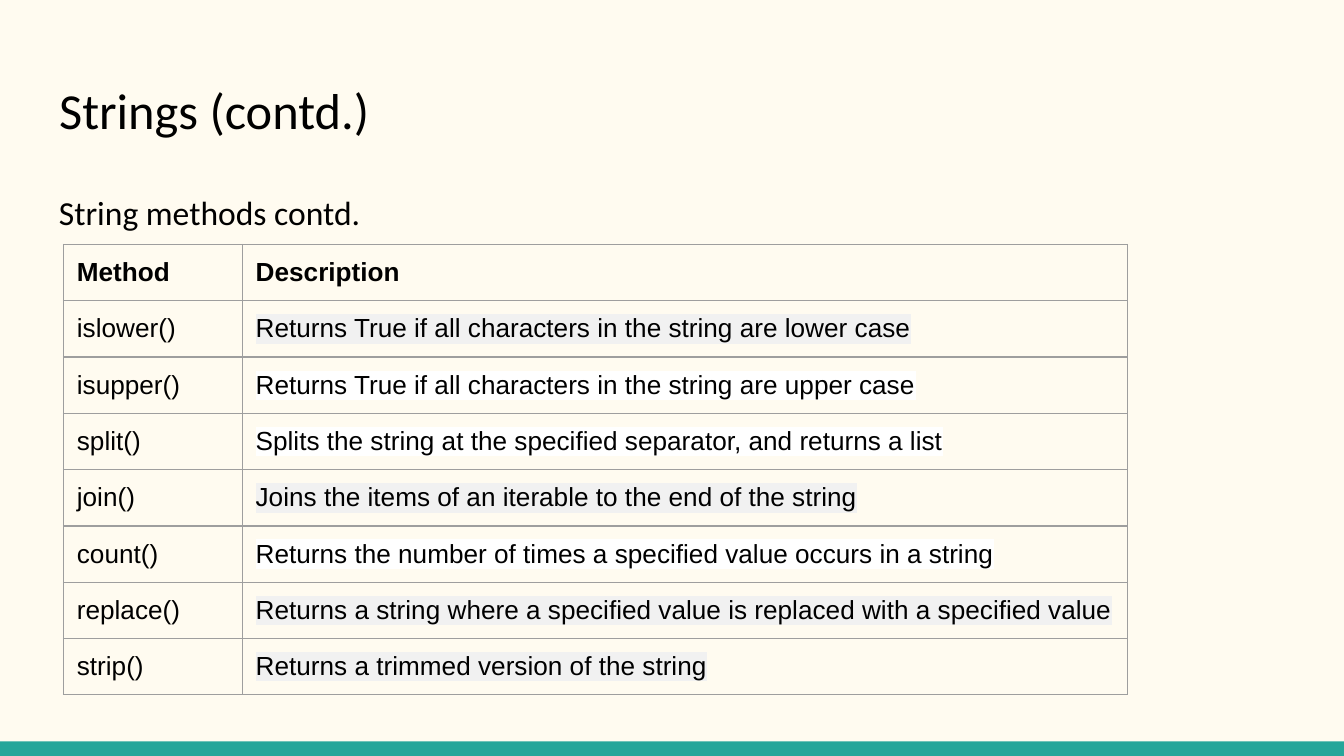
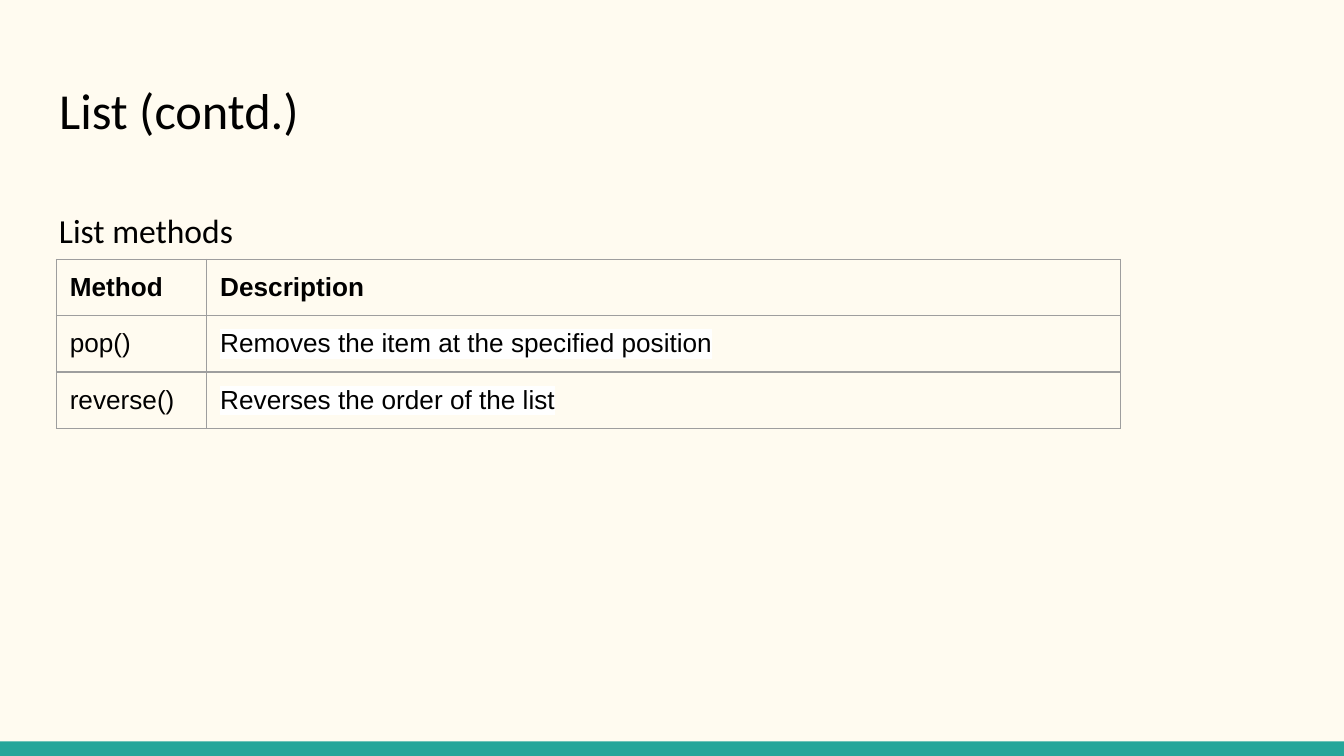
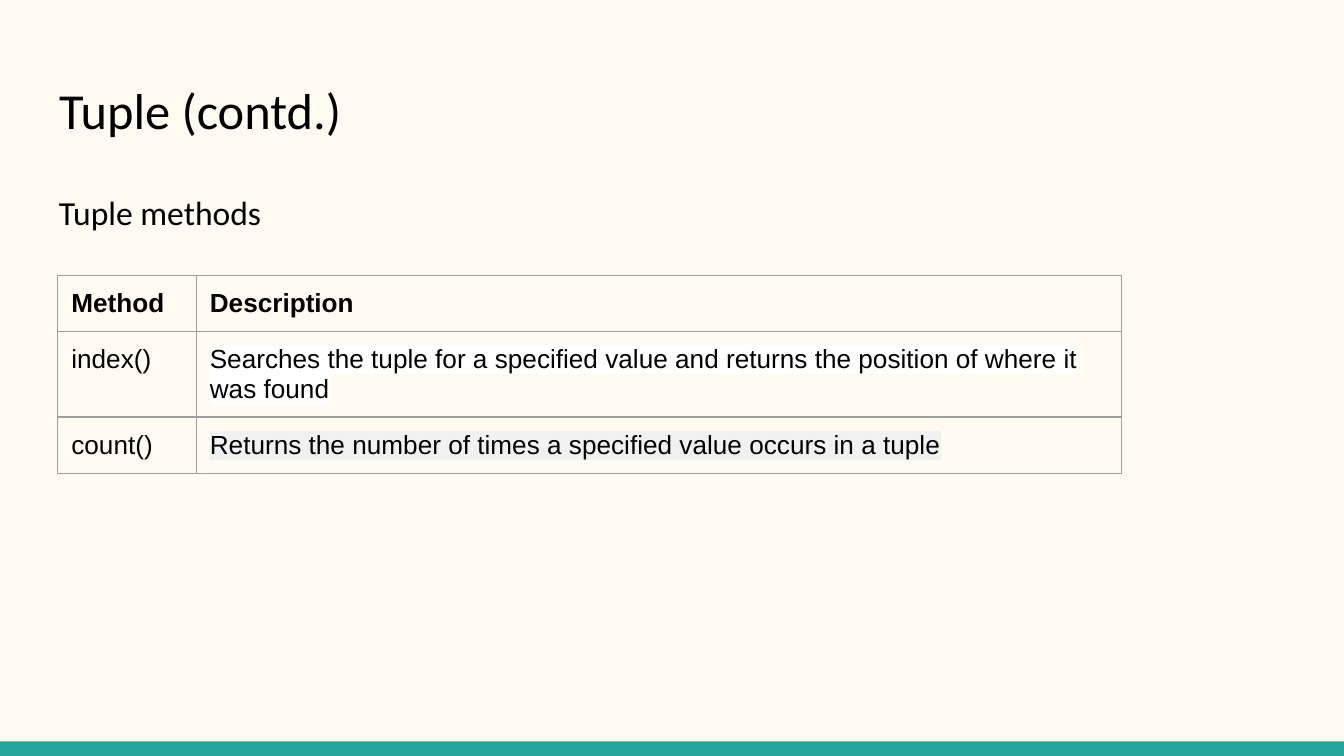
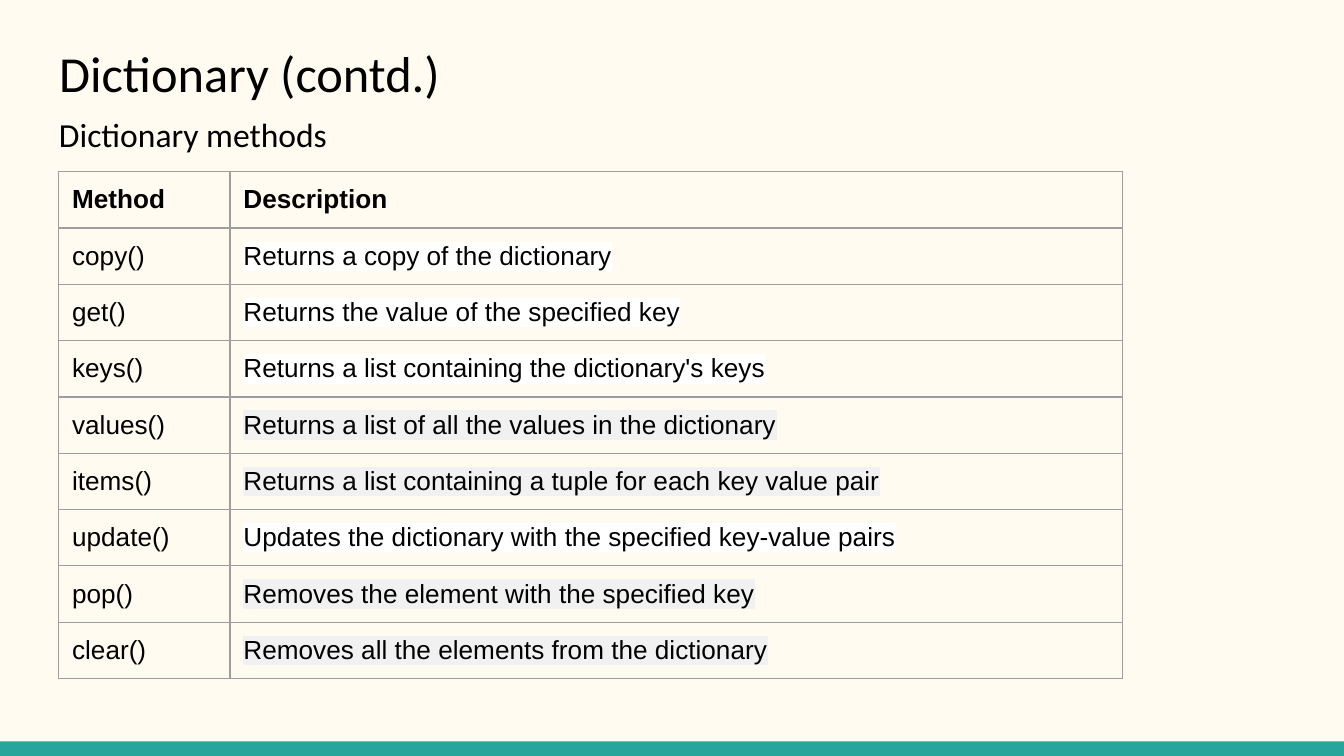
from dataclasses import dataclass

from lxml.etree import SubElement
from pptx import Presentation
from pptx.dml.color import RGBColor
from pptx.enum.shapes import MSO_SHAPE
from pptx.enum.text import MSO_ANCHOR, MSO_AUTO_SIZE, PP_ALIGN
from pptx.oxml import parse_xml
from pptx.oxml.ns import nsdecls, qn
from pptx.util import Pt

COLORS = {
    "background": "FFFBF0",
    "band": "26A69A",
    "text": "000000",
    "border": "9E9E9E",
    "grey": "F1F1F1",
    "white": "FFFFFF",
}
SLIDE_WIDTH, SLIDE_HEIGHT = 720, 405
BAND_HEIGHT = 7.8
TEXT_LEFT, TEXT_WIDTH = 24.5, 671
INSET = 7.2
TABLE_WIDTH, ROW_HEIGHT = 570, 30
BORDER_WIDTH = 0.75


@dataclass
class Method:
    name: str
    description: str
    highlight: str


@dataclass
class MethodSlide:
    title: str
    subtitle: str
    subtitle_top: float
    table_left: float
    table_top: float
    name_width: float
    methods: list[Method]
    title_top: float = 35.3
    title_height: float = 48.2


METHOD_SLIDES = [
    MethodSlide("Strings (contd.)", "String methods contd.", 92.2, 34, 131, 95.8, [
        Method("islower()", "Returns True if all characters in the string are lower case", "grey"),
        Method("isupper()", "Returns True if all characters in the string are upper case", "white"),
        Method("split()", "Splits the string at the specified separator, and returns a list", "white"),
        Method("join()", "Joins the items of an iterable to the end of the string", "grey"),
        Method("count()", "Returns the number of times a specified value occurs in a string", "white"),
        Method("replace()", "Returns a string where a specified value is replaced with a specified value", "grey"),
        Method("strip()", "Returns a trimmed version of the string", "grey"),
    ]),
    MethodSlide("List (contd.)", "List methods", 102.2, 30.2, 139, 80.6, [
        Method("pop()", "Removes the item at the specified position", "white"),
        Method("reverse()", "Reverses the order of the list", "white"),
    ]),
    MethodSlide("Tuple (contd.)", "Tuple methods", 92.2, 31, 147.4, 74.2, [
        Method("index()", "Searches the tuple for a specified value and returns the position of where it was found", "white"),
        Method("count()", "Returns the number of times a specified value occurs in a tuple", "grey"),
    ]),
    MethodSlide("Dictionary (contd.)", "Dictionary methods", 50.4, 31.4, 92, 91.8, [
        Method("copy()", "Returns a copy of the dictionary", "white"),
        Method("get()", "Returns the value of the specified key", "white"),
        Method("keys()", "Returns a list containing the dictionary's keys", "white"),
        Method("values()", "Returns a list of all the values in the dictionary", "grey"),
        Method("items()", "Returns a list containing a tuple for each key value pair", "grey"),
        Method("update()", "Updates the dictionary with the specified key-value pairs", "white"),
        Method("pop()", "Removes the element with the specified key", "grey"),
        Method("clear()", "Removes all the elements from the dictionary", "grey"),
    ], title_top=15.1, title_height=45.4),
]


def color(name: str) -> RGBColor:
    return RGBColor.from_string(COLORS[name])


def set_insets(holder) -> None:
    holder.margin_left = holder.margin_right = Pt(INSET)
    holder.margin_top = holder.margin_bottom = Pt(INSET)


def style_font(paragraph, name: str, size: float, bold: bool = False) -> None:
    paragraph.font.name = name
    paragraph.font.size = Pt(size)
    paragraph.font.bold = bold
    paragraph.font.color.rgb = color("text")


def fill_text(shape, text: str, size: float):
    frame = shape.text_frame
    frame.text = text
    frame.word_wrap = True
    frame.auto_size = MSO_AUTO_SIZE.NONE
    frame.vertical_anchor = MSO_ANCHOR.TOP
    set_insets(frame)
    paragraph = frame.paragraphs[0]
    paragraph.alignment = PP_ALIGN.LEFT
    style_font(paragraph, "Calibri", size)
    return paragraph


def add_band(slide) -> None:
    band = slide.shapes.add_shape(
        MSO_SHAPE.RECTANGLE, 0, Pt(SLIDE_HEIGHT - BAND_HEIGHT), Pt(SLIDE_WIDTH), Pt(BAND_HEIGHT))
    band.shadow.inherit = False
    band.fill.solid()
    band.fill.fore_color.rgb = color("band")
    band.line.fill.background()


def add_heading(slide, content: MethodSlide) -> None:
    title = slide.shapes.title
    title.left, title.top = Pt(TEXT_LEFT), Pt(content.title_top)
    title.width, title.height = Pt(TEXT_WIDTH), Pt(content.title_height)
    fill_text(title, content.title, 27)
    subtitle = slide.shapes.add_textbox(
        Pt(TEXT_LEFT), Pt(content.subtitle_top), Pt(TEXT_WIDTH), Pt(268))
    paragraph = fill_text(subtitle, content.subtitle, 18)
    paragraph.line_spacing = 1.15
    paragraph.space_after = Pt(12)


def set_borders(cell) -> None:
    properties = cell._tc.get_or_add_tcPr()
    for index, side in enumerate(("lnL", "lnR", "lnT", "lnB")):
        properties.insert(index, parse_xml(
            f'<a:{side} {nsdecls("a")} w="{Pt(BORDER_WIDTH)}"><a:solidFill>'
            f'<a:srgbClr val="{COLORS["border"]}"/></a:solidFill></a:{side}>'))


def fill_cell(cell, text: str, bold: bool = False, highlight: str = "") -> None:
    cell.text = text
    cell.fill.background()
    set_insets(cell)
    set_borders(cell)
    paragraph = cell.text_frame.paragraphs[0]
    style_font(paragraph, "Arial", 14, bold)
    if highlight:
        run_properties = paragraph.runs[0]._r.get_or_add_rPr()
        mark = SubElement(run_properties, qn("a:highlight"))
        SubElement(mark, qn("a:srgbClr"), val=COLORS[highlight])


def add_method_table(slide, content: MethodSlide) -> None:
    row_count = len(content.methods) + 1
    table = slide.shapes.add_table(
        row_count, 2, Pt(content.table_left), Pt(content.table_top),
        Pt(TABLE_WIDTH), Pt(ROW_HEIGHT * row_count)).table
    table.first_row = table.horz_banding = False
    table.columns[0].width = Pt(content.name_width)
    table.columns[1].width = Pt(TABLE_WIDTH - content.name_width)
    for column, heading in enumerate(("Method", "Description")):
        fill_cell(table.cell(0, column), heading, bold=True)
    for row, method in enumerate(content.methods, start=1):
        fill_cell(table.cell(row, 0), method.name)
        fill_cell(table.cell(row, 1), method.description, highlight=method.highlight)


def main() -> None:
    presentation = Presentation()
    presentation.slide_width, presentation.slide_height = Pt(SLIDE_WIDTH), Pt(SLIDE_HEIGHT)
    background = presentation.slide_master.background.fill
    background.solid()
    background.fore_color.rgb = color("background")
    title_only = presentation.slide_layouts.get_by_name("Title Only")
    for content in METHOD_SLIDES:
        slide = presentation.slides.add_slide(title_only)
        add_band(slide)
        add_heading(slide, content)
        add_method_table(slide, content)
    presentation.save("out.pptx")


if __name__ == "__main__":
    main()
